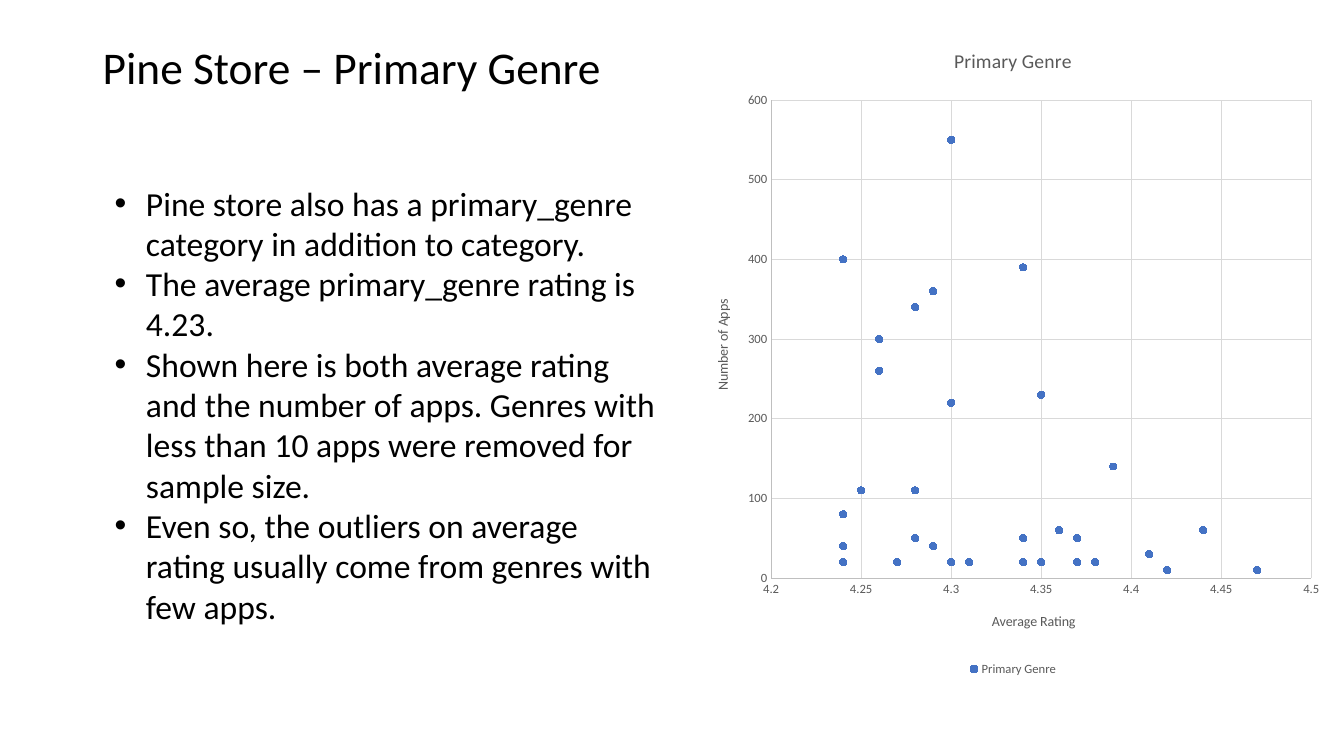
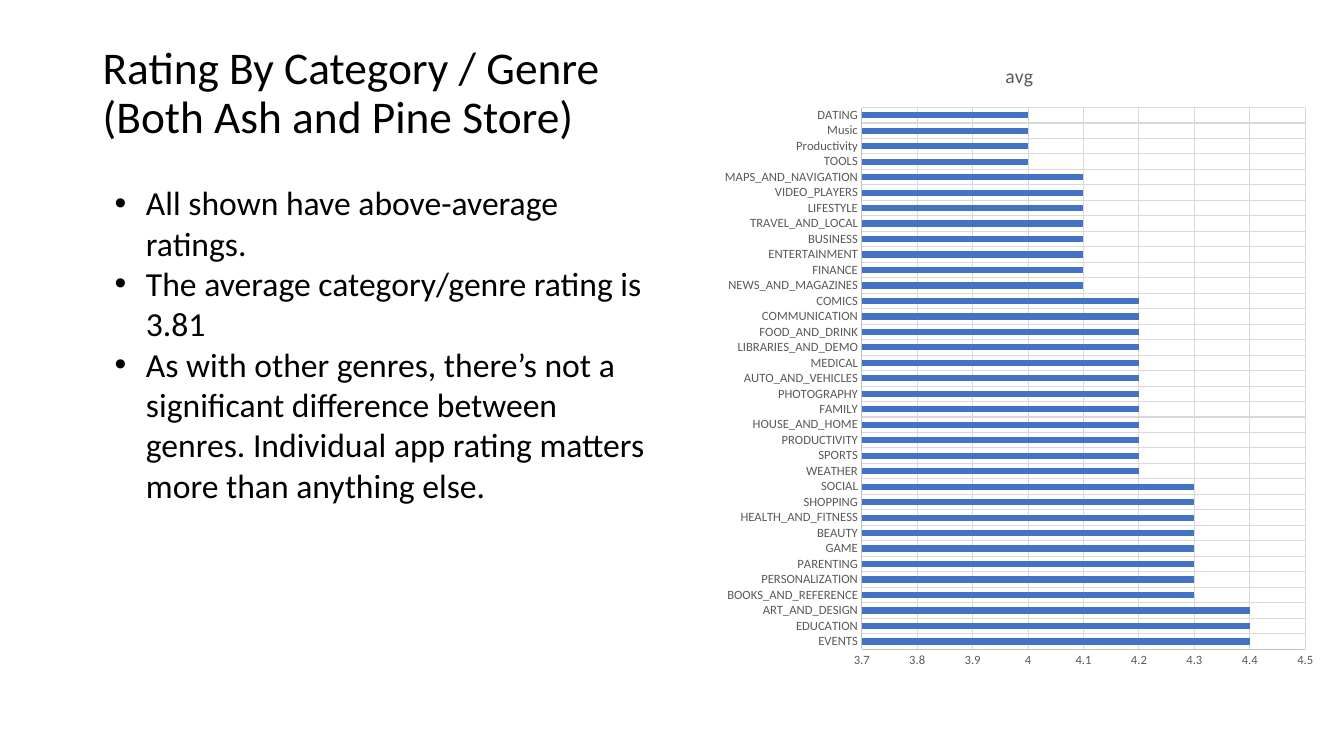
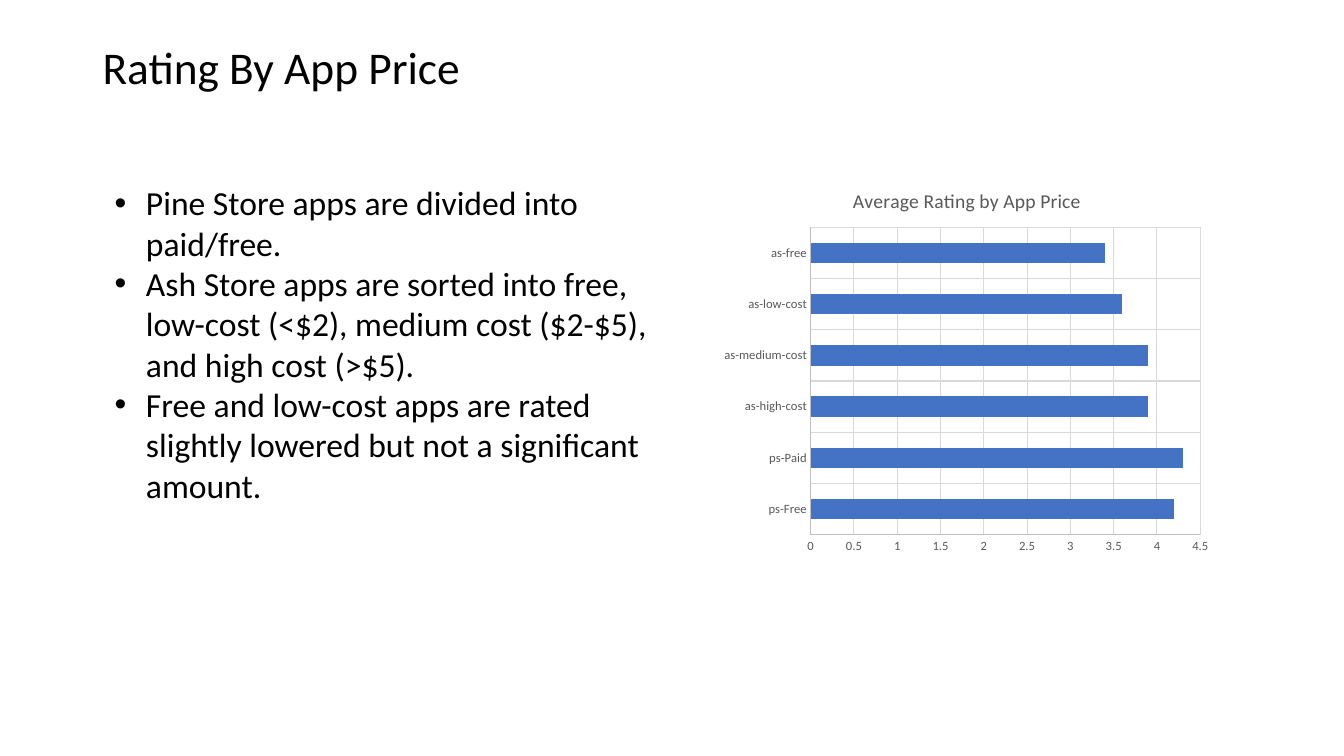
import pptx
import pptx.util
import pptx.chart.data
import pptx.dml.color
import pptx.enum.chart
import pptx.enum.text
import pptx.oxml
import pptx.oxml.ns

FONT, INK, GREY, EDGE, GRID, BLUE = "Calibri", "000000", "595959", "BFBFBF", "D9D9D9", "4472C4"
TITLE = (6.9, 5.33, 44.7, 16.13)
KIND = pptx.enum.chart.XL_CHART_TYPE
qn = pptx.oxml.ns.qn

deck = pptx.Presentation()
deck.slide_width = pptx.util.Inches(13.33)
deck.slide_height = pptx.util.Inches(7.5)


def tint(code):
    """Turn a hex string into a colour."""
    return pptx.dml.color.RGBColor.from_string(code)


def place(box):
    """Turn percent shares of the slide into lengths."""
    sizes = (deck.slide_width, deck.slide_height) * 2
    return [int(size * share / 100) for size, share in zip(sizes, box)]


def style(font, size, color):
    """Give a font its name, size and colour."""
    font.name, font.size, font.bold = FONT, pptx.util.Pt(size), False
    font.color.rgb = tint(color)


def write(slide, box, lines, size=24, space=None, bullet=False, grow=False):
    """Write paragraphs in a text box."""
    frame = slide.shapes.add_textbox(*place(box)).text_frame
    frame.word_wrap = True
    if grow:
        frame.auto_size = pptx.enum.text.MSO_AUTO_SIZE.SHAPE_TO_FIT_TEXT
    for i, line in enumerate(lines):
        para = frame.add_paragraph() if i else frame.paragraphs[0]
        para.line_spacing = space
        run = para.add_run()
        run.text = line
        style(run.font, size, INK)
        if bullet:
            props = para._p.get_or_add_pPr()
            indent = pptx.util.Inches(0.31)
            props.set("marL", str(indent))
            props.set("indent", str(-indent))
            for tag, key, val in (("a:buFont", "typeface", "Arial"), ("a:buChar", "char", "•")):
                props.append(props.makeelement(qn(tag), {key: val}))


def label(owner, text, size):
    """Title a chart or an axis."""
    owner.has_title = True
    frame = (owner.chart_title if hasattr(owner, "chart_title") else owner.axis_title).text_frame
    frame.text = text
    style(frame.paragraphs[0].runs[0].font, size, GREY)


def scale(axis, low=None, high=None, step=None):
    """Format an axis and its grid."""
    axis.minimum_scale, axis.maximum_scale = low, high
    if step:
        axis.major_unit = step
    axis.has_major_gridlines = True
    axis.major_tick_mark = axis.minor_tick_mark = pptx.enum.chart.XL_TICK_MARK.NONE
    style(axis.tick_labels.font, 9, GREY)
    for part, color in ((axis, EDGE), (axis.major_gridlines, GRID)):
        part.format.line.color.rgb = tint(color)
        part.format.line.width = pptx.util.Pt(0.75)


def fit(chart, inner):
    """Place the plot at percent shares of the chart."""
    area = chart._chartSpace.chart.plotArea
    for old in area.findall(qn("c:layout")):
        area.remove(old)
    shares = [share / 100 for share in inner]
    tags = [("layoutTarget", "inner"), ("xMode", "edge"), ("yMode", "edge"), *zip("xywh", shares)]
    body = "".join(f'<c:{tag} val="{val}"/>' for tag, val in tags)
    space = pptx.oxml.ns.nsdecls("c")
    xml = f"<c:layout {space}><c:manualLayout>{body}</c:manualLayout></c:layout>"
    area.insert(0, pptx.oxml.parse_xml(xml))


def plot(slide, kind, box, data, name, inner):
    """Add a titled chart."""
    chart = slide.shapes.add_chart(kind, *place(box), data).chart
    style(chart.font, 10, INK)
    chart.has_legend = False
    label(chart, name, 14)
    chart.plots[0].vary_by_categories = False
    fit(chart, inner)
    return chart


def bars(slide, box, name, series, rows, inner, limits):
    """Draw a bar chart."""
    data = pptx.chart.data.CategoryChartData()
    data.categories = [row[0] for row in rows]
    data.add_series(series, [row[1] for row in rows])
    chart = plot(slide, KIND.BAR_CLUSTERED, box, data, name, inner)
    chart.plots[0].gap_width = 150
    fill = chart.series[0].format.fill
    fill.solid()
    fill.fore_color.rgb = tint(BLUE)
    scale(chart.category_axis)
    scale(chart.value_axis, *limits)


def dots(slide, box, name, points, inner):
    """Draw a scatter chart."""
    data = pptx.chart.data.XyChartData()
    series = data.add_series(name)
    for x, y in points:
        series.add_data_point(x, y)
    chart = plot(slide, KIND.XY_SCATTER, box, data, name, inner)
    marks = chart.series[0]
    marks.smooth = False
    marks.format.line.fill.background()
    marks.marker.style = pptx.enum.chart.XL_MARKER_STYLE.CIRCLE
    marks.marker.size = 5
    marks.marker.format.fill.solid()
    marks.marker.format.fill.fore_color.rgb = tint(BLUE)
    marks.marker.format.line.color.rgb = tint(BLUE)
    scale(chart.category_axis, 4.2, 4.5, 0.05)
    scale(chart.value_axis, 0, 600, 100)
    label(chart.category_axis, "Average Rating", 10)
    label(chart.value_axis, "Number of Apps", 10)
    chart.has_legend = True
    chart.legend.position = pptx.enum.chart.XL_LEGEND_POSITION.BOTTOM
    chart.legend.include_in_layout = False
    style(chart.legend.font, 9, GREY)


def page(title, points, high=44.4):
    """Start a slide with its title and bullets."""
    slide = deck.slides.add_slide(deck.slide_layouts[6])
    write(slide, TITLE, [title], size=32.4, space=0.9)
    write(slide, (7.8, 23.47, 42.23, high), points, bullet=True, grow=True)
    return slide


APPS = [
    (4.47, 10), (4.44, 60), (4.42, 10), (4.42, 10), (4.41, 30), (4.39, 140), (4.38, 20),
    (4.37, 20), (4.37, 50), (4.36, 60), (4.35, 20), (4.35, 230), (4.34, 50), (4.34, 20),
    (4.34, 390), (4.31, 20), (4.3, 220), (4.3, 550), (4.3, 20), (4.29, 40), (4.29, 40),
    (4.29, 360), (4.28, 340), (4.28, 110), (4.28, 50), (4.27, 20), (4.26, 300), (4.26, 260),
    (4.25, 110), (4.24, 80), (4.24, 400), (4.24, 20), (4.24, 40),
]
GENRES = [
    ("EVENTS", 4.4), ("EDUCATION", 4.4), ("ART_AND_DESIGN", 4.4),
    ("BOOKS_AND_REFERENCE", 4.3), ("PERSONALIZATION", 4.3), ("PARENTING", 4.3),
    ("GAME", 4.3), ("BEAUTY", 4.3), ("HEALTH_AND_FITNESS", 4.3), ("SHOPPING", 4.3),
    ("SOCIAL", 4.3), ("WEATHER", 4.2), ("SPORTS", 4.2), ("PRODUCTIVITY", 4.2),
    ("HOUSE_AND_HOME", 4.2), ("FAMILY", 4.2), ("PHOTOGRAPHY", 4.2),
    ("AUTO_AND_VEHICLES", 4.2), ("MEDICAL", 4.2), ("LIBRARIES_AND_DEMO", 4.2),
    ("FOOD_AND_DRINK", 4.2), ("COMMUNICATION", 4.2), ("COMICS", 4.2),
    ("NEWS_AND_MAGAZINES", 4.1), ("FINANCE", 4.1), ("ENTERTAINMENT", 4.1),
    ("BUSINESS", 4.1), ("TRAVEL_AND_LOCAL", 4.1), ("LIFESTYLE", 4.1),
    ("VIDEO_PLAYERS", 4.1), ("MAPS_AND_NAVIGATION", 4.1), ("TOOLS", 4),
    ("Productivity", 4), ("Music", 4), ("DATING", 4),
]
PRICES = [
    ("ps-Free", 4.2), ("ps-Paid", 4.3), ("as-high-cost", 3.9),
    ("as-medium-cost", 3.9), ("as-low-cost", 3.6), ("as-free", 3.4),
]

slide = page("Pine Store – Primary Genre", [
    "Pine store also has a primary_genre category in addition to category.",
    "The average primary_genre rating is 4.23.",
    "Shown here is both average rating and the number of apps. "
    "Genres with less than 10 apps were removed for sample size.",
    "Even so, the outliers on average rating usually come from genres with few apps.",
], high=60.53)
dots(slide, (51.6, 3.33, 47.56, 86.67), "Primary Genre", APPS, (12.15, 11.45, 84.5, 72.95))

slide = page("Rating By Category / Genre (Both Ash and Pine Store)", [
    "All shown have above-average ratings.",
    "The average category/genre rating is 3.81",
    "As with other genres, there’s not a significant difference between genres. "
    "Individual app rating matters more than anything else.",
])
bars(slide, (53.04, 5.33, 45.61, 84.8), "avg", "avg", GENRES,
     (24.3, 10.5, 72.35, 84.5), (3.7, 4.5, 0.1))

slide = page("Rating By App Price", [
    "Pine Store apps are divided into paid/free.",
    "Ash Store apps are sorted into free, low-cost (<$2), medium cost ($2-$5), "
    "and high cost (>$5).",
    "Free and low-cost apps are rated slightly lowered but not a significant amount.",
])
bars(slide, (53.19, 22.53, 37.51, 51.73), "Average Rating by App Price", "Series 1", PRICES,
     (19, 14.6, 77.3, 78.6), (0, 4.5, 0.5))

deck.save("out.pptx")
